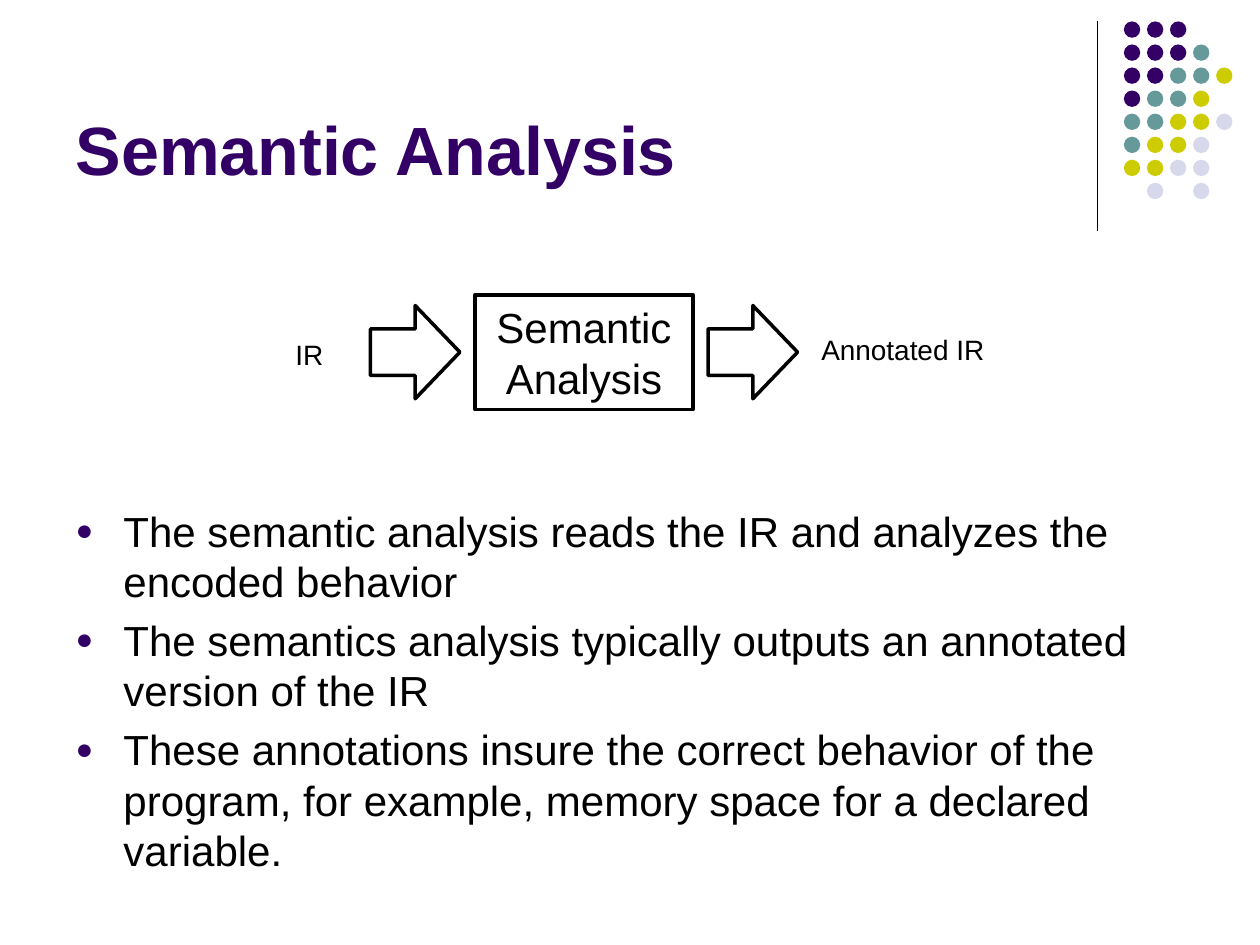
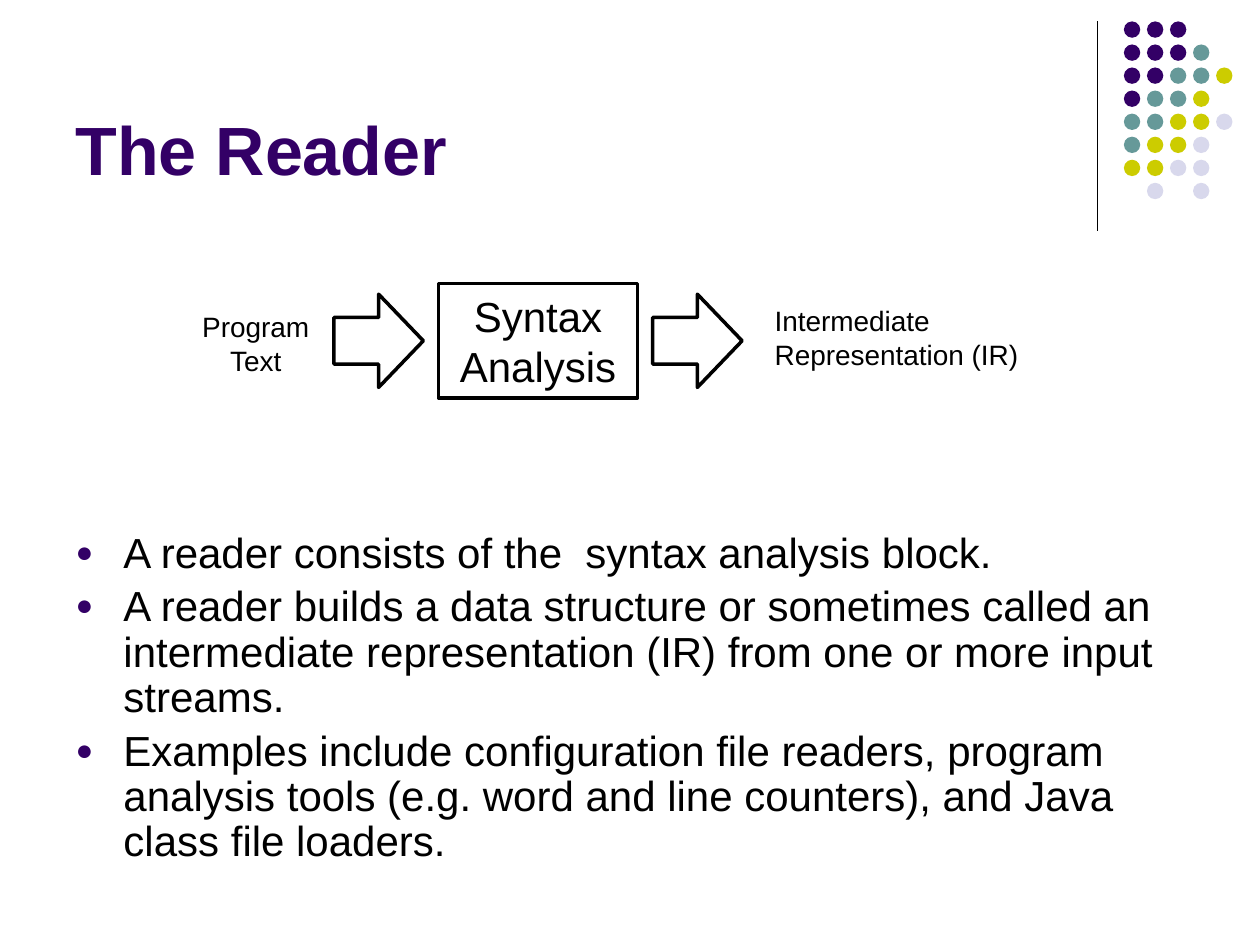
from lxml import etree
from pptx import Presentation
from pptx.dml.color import RGBColor
from pptx.enum.shapes import MSO_CONNECTOR as Line, MSO_SHAPE as Preset
from pptx.enum.text import MSO_ANCHOR as Anchor, MSO_AUTO_SIZE as Fit, PP_ALIGN as Align
from pptx.oxml.ns import qn
from pptx.util import Inches, Pt

FONT = "Arial"
PURPLE = RGBColor(0x33, 0x00, 0x66)
TEAL = RGBColor(0x66, 0x99, 0x99)
OLIVE = RGBColor(0xCC, 0xCC, 0x00)
LILAC = RGBColor(0xD8, 0xD8, 0xEC)
BLACK = RGBColor(0x00, 0x00, 0x00)
WHITE = RGBColor(0xFF, 0xFF, 0xFF)

COLUMNS, ROWS = 100, 75
CELL = Inches(0.1)
DOT_COLORS = {"P": PURPLE, "T": TEAL, "Y": OLIVE, "L": LILAC}
DOT_ROWS = ["PPP", "PPPT", "PPTTY", "PTTY", "TTYYL", "TYYL", "YYLL", " L L"]
DOT_LEFT, DOT_TOP, DOT_PITCH, DOT_SIZE = 89.2, 1.7, 1.83, 1.3
ARROW_WIDTH, ARROW_HEIGHT, ARROW_GAP = 7.1, 7.4, 1.2
STAGE_HEIGHT = 9.1


def cells(*lengths):
    """Turn grid columns or rows into slide lengths."""
    return [round(length * CELL) for length in lengths]


def style(paragraph, size, color=BLACK, bold=False, align=Align.LEFT):
    """Set the font and alignment of a paragraph."""
    paragraph.alignment = align
    font = paragraph.font
    font.name, font.size, font.bold = FONT, Pt(size), bold
    font.color.rgb = color


def add_dot(group, column, row, color):
    """Draw one dot of the corner pattern."""
    dot = group.shapes.add_shape(Preset.OVAL, *cells(
        DOT_LEFT + column * DOT_PITCH, DOT_TOP + row * DOT_PITCH, DOT_SIZE, DOT_SIZE))
    dot.shadow.inherit = False
    dot.fill.solid()
    dot.fill.fore_color.rgb = color
    dot.line.fill.background()


def decorate_layout(slide):
    """Draw the corner rule and dots, and hand them to the slide's layout."""
    rule = slide.shapes.add_connector(Line.STRAIGHT, *cells(87.1, 1.7, 87.1, 18.3))
    rule.line.color.rgb = BLACK
    rule.line.width = Pt(0.75)
    etree.SubElement(rule.element.spPr, qn("a:effectLst"))
    dots = slide.shapes.add_group_shape()
    for row, pattern in enumerate(DOT_ROWS):
        for column, key in enumerate(pattern):
            if key in DOT_COLORS:
                add_dot(dots, column, row, DOT_COLORS[key])
    for decoration in (rule, dots):
        slide.slide_layout.shapes.element.append(decoration.element)


def place(placeholder, *area):
    """Move a placeholder to an area of the grid and return its text frame."""
    placeholder.left, placeholder.top, placeholder.width, placeholder.height = cells(*area)
    frame = placeholder.text_frame
    frame.auto_size = Fit.NONE
    return frame


def set_title(slide, text):
    """Fill the title placeholder."""
    frame = place(slide.shapes.title, 5, 1.3, 82.5, 14.2)
    frame.vertical_anchor = Anchor.BOTTOM
    frame.text = text
    style(frame.paragraphs[0], 39, PURPLE, bold=True)


def add_bullet(paragraph):
    """Give a paragraph a small purple round bullet with a hanging indent."""
    properties = paragraph._p.get_or_add_pPr()
    properties.set("marL", str(Inches(0.38)))
    properties.set("indent", str(-Inches(0.38)))
    color = etree.SubElement(properties, qn("a:buClr"))
    etree.SubElement(color, qn("a:srgbClr"), val=str(PURPLE))
    etree.SubElement(properties, qn("a:buSzPct"), val="70000")
    etree.SubElement(properties, qn("a:buFont"), typeface=FONT)
    etree.SubElement(properties, qn("a:buChar"), char="●")


def set_bullets(slide, top, height, points, line_spacing=1.0):
    """Fill the body placeholder with bulleted points."""
    frame = place(slide.placeholders[1], 5, top, 90, height)
    frame.text = "\n".join(points)
    for index, paragraph in enumerate(frame.paragraphs):
        add_bullet(paragraph)
        paragraph.line_spacing = line_spacing
        paragraph.space_before = Pt(4.8 if index else 0)
        style(paragraph, 24)


def add_outlined(slide, preset, *area):
    """Draw a white shape with a black outline."""
    shape = slide.shapes.add_shape(preset, *cells(*area))
    shape.shadow.inherit = False
    shape.fill.solid()
    shape.fill.fore_color.rgb = WHITE
    shape.line.color.rgb = BLACK
    shape.line.width = Pt(2)
    return shape


def add_stage(slide, name, left, top, width):
    """Draw a processing stage with an arrow into it and one out of it."""
    stage = add_outlined(slide, Preset.RECTANGLE, left, top, width, STAGE_HEIGHT)
    stage.text_frame.text = name
    for paragraph in stage.text_frame.paragraphs:
        style(paragraph, 24, align=Align.CENTER)
    arrow_top = top + (STAGE_HEIGHT - ARROW_HEIGHT) / 2
    for arrow_left in (left - ARROW_GAP - ARROW_WIDTH, left + width + ARROW_GAP):
        add_outlined(slide, Preset.RIGHT_ARROW, arrow_left, arrow_top, ARROW_WIDTH, ARROW_HEIGHT)


def add_label(slide, text, area, align=Align.LEFT):
    """Write the name of a stage's input or output."""
    frame = slide.shapes.add_textbox(*cells(*area)).text_frame
    frame.word_wrap = False
    frame.auto_size = Fit.SHAPE_TO_FIT_TEXT
    frame.text = text
    for paragraph in frame.paragraphs:
        style(paragraph, 16, align=align)


def build_semantic_analysis(slide):
    """Fill the slide on semantic analysis."""
    set_title(slide, "Semantic Analysis")
    set_bullets(slide, 39.6, 28.7, [
        "The semantic analysis reads the IR and analyzes the encoded behavior",
        "The semantics analysis typically outputs an annotated version of the IR",
        "These annotations insure the correct behavior of the program, for example, "
        "memory space for a declared variable.",
    ])
    add_stage(slide, "Semantic\nAnalysis", 37.7, 23.4, 17.3)
    add_label(slide, "IR", (22.4, 26.3, 4.3, 3.7), Align.CENTER)
    add_label(slide, "Annotated IR", (64.2, 25.9, 15.1, 3.7))


def build_reader(slide):
    """Fill the slide on the reader."""
    set_title(slide, "The Reader")
    set_bullets(slide, 41.7, 23.3, [
        "A reader consists of the  syntax analysis block.",
        "A reader builds a data structure or sometimes called an intermediate "
        "representation (IR) from one or more input streams.",
        "Examples include configuration file readers, program analysis tools "
        "(e.g. word and line counters), and Java class file loaders.",
    ], line_spacing=0.9)
    add_stage(slide, "Syntax\nAnalysis", 34.8, 22.5, 15.8)
    add_label(slide, "Program\vText", (15, 24.1, 10.6, 6.4), Align.CENTER)
    add_label(slide, "Intermediate\nRepresentation (IR)", (60.5, 23.6, 21.6, 6.4))


def main():
    """Build and save the presentation."""
    deck = Presentation()
    deck.slide_width, deck.slide_height = cells(COLUMNS, ROWS)
    layout = deck.slide_layouts[1]
    semantic_slide, reader_slide = (deck.slides.add_slide(layout) for _ in range(2))
    decorate_layout(semantic_slide)
    build_semantic_analysis(semantic_slide)
    build_reader(reader_slide)
    deck.save("out.pptx")


if __name__ == "__main__":
    main()
